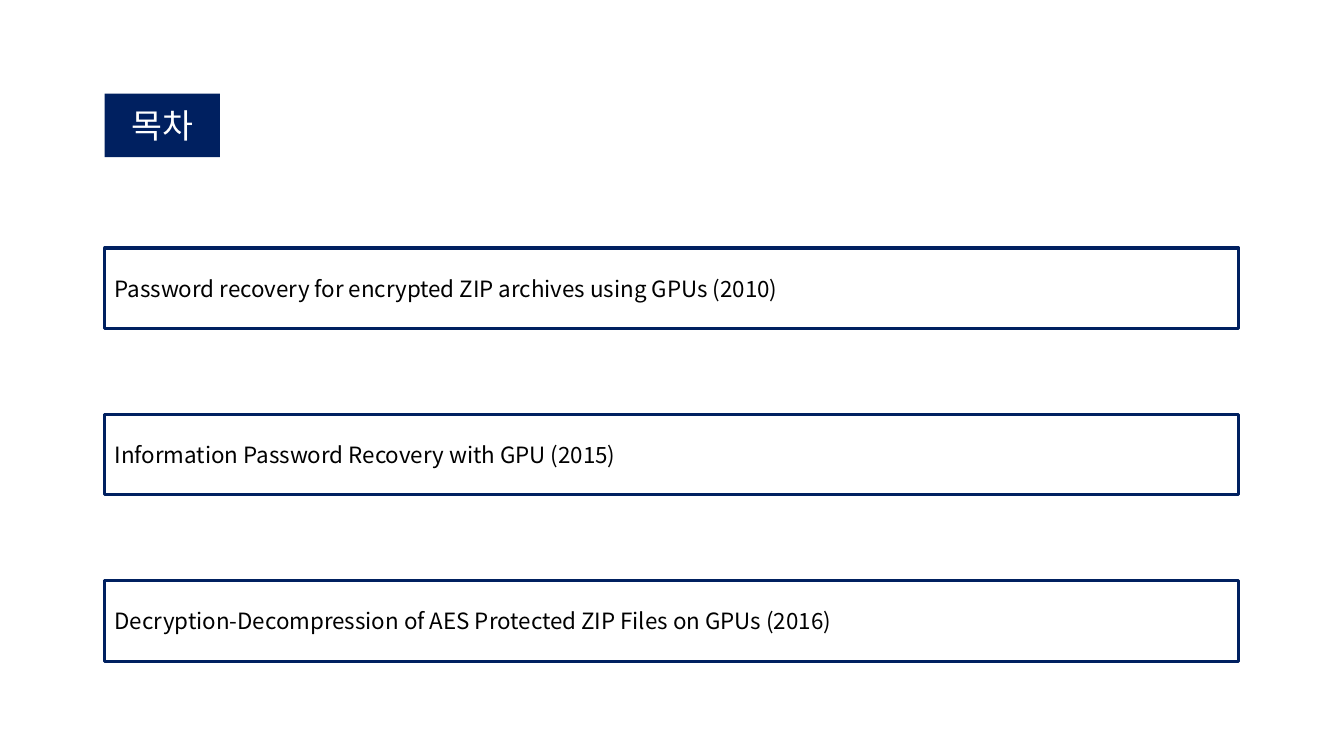
from lxml.etree import SubElement
from pptx import Presentation
from pptx.dml.color import RGBColor
from pptx.enum.shapes import MSO_SHAPE as SHAPE
from pptx.enum.text import MSO_ANCHOR as ANCHOR, PP_ALIGN as ALIGN
from pptx.oxml.ns import qn
from pptx.util import Cm, Pt

FONT = "Noto Sans CJK KR"
NAVY = "002060"
LEFT = 2.64
PAPERS = [
    "Password recovery for encrypted ZIP archives using GPUs (2010)",
    "Information Password Recovery with GPU (2015)",
    "Decryption-Decompression of AES Protected ZIP Files on GPUs (2016)",
]


def color(value):
    return RGBColor.from_string(value)


def add_box(s, top, width, height):
    sp = s.shapes.add_shape(SHAPE.RECTANGLE, Cm(LEFT), Cm(top), Cm(width), Cm(height))
    sp.shadow.inherit = False
    return sp


def add_text(sp, text, size, hex_color, align):
    tf = sp.text_frame
    tf.word_wrap = True
    tf.vertical_anchor = ANCHOR.MIDDLE
    p = tf.paragraphs[0]
    p.alignment = align
    r = p.add_run()
    r.text = text
    r.font.size = Pt(size)
    r.font.color.rgb = color(hex_color)
    r.font.name = FONT
    SubElement(r._r.get_or_add_rPr(), qn("a:ea"), typeface=FONT)


def add_heading(s, text):
    sp = add_box(s, 2.36, 2.9, 1.6)
    sp.fill.solid()
    sp.fill.fore_color.rgb = color(NAVY)
    sp.line.fill.background()
    add_text(sp, text, 24, "FFFFFF", ALIGN.CENTER)


def add_paper(s, text, top):
    sp = add_box(s, top, 28.58, 2.03)
    sp.fill.background()
    sp.line.color.rgb = color(NAVY)
    sp.line.width = Pt(2.25)
    add_text(sp, text, 16, "000000", ALIGN.LEFT)


def main():
    prs = Presentation()
    prs.slide_width, prs.slide_height = Cm(33.87), Cm(19.05)
    s = prs.slides.add_slide(prs.slide_layouts[6])
    add_heading(s, "목차")
    for i, paper in enumerate(PAPERS):
        add_paper(s, paper, 6.25 + 4.19 * i)
    prs.save("out.pptx")


if __name__ == "__main__":
    main()
